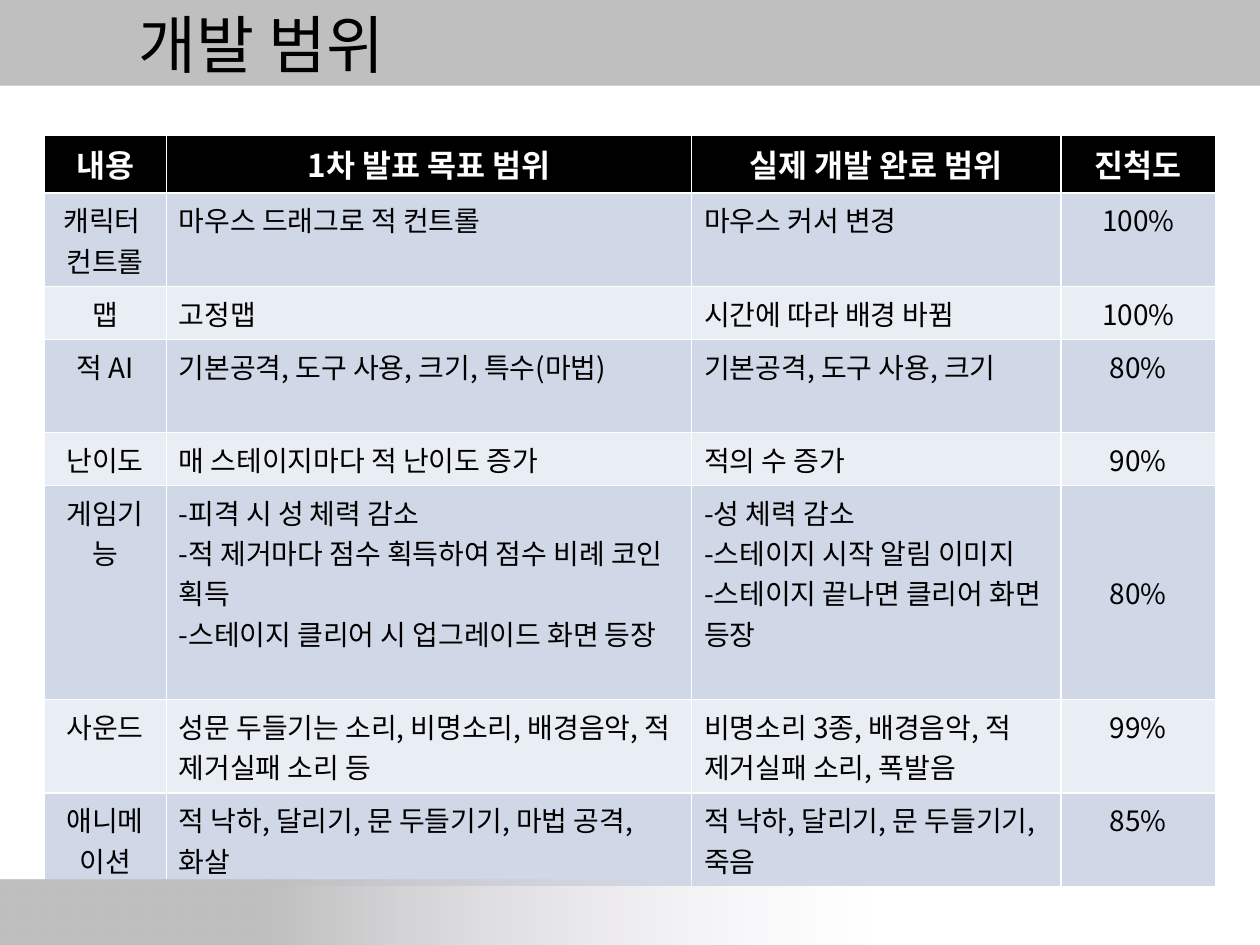
from dataclasses import dataclass

from lxml import etree
from pptx import Presentation
from pptx import util as u
from pptx.dml.color import RGBColor
from pptx.enum import shapes, text
from pptx.oxml import ns


@dataclass(frozen=True)
class Theme:
    font: str = "Noto Sans CJK KR"
    title_size: int = 36
    head_size: int = 18
    body_size: int = 16
    ink: str = "000000"
    paper: str = "FFFFFF"
    bar: str = "BFBFBF"
    fade: str = "E6E0EC"
    bands: tuple = ("D0D8E8", "E9EDF4")


@dataclass(frozen=True)
class ScopeRow:
    topic: str
    goal: str
    done: str
    progress: str
    height: float
    middle: bool = False  # centre the progress value vertically


T = Theme()
HEADER = ("내용", "1차 발표 목표 범위", "실제 개발 완료 범위", "진척도")
COL_WIDTHS = (0.97, 4.17, 2.93, 1.23)
HEAD_HEIGHT, ONE_LINE, TWO_LINES = 0.45, 0.42, 0.74
ROWS = (
    ScopeRow("캐릭터 \n컨트롤", "마우스 드래그로 적 컨트롤", "마우스 커서 변경", "100%", TWO_LINES),
    ScopeRow("맵", "고정맵", "시간에 따라 배경 바뀜", "100%", ONE_LINE),
    ScopeRow("적 AI", "기본공격, 도구 사용, 크기, 특수(마법)",
             "기본공격, 도구 사용, 크기", "80%", TWO_LINES),
    ScopeRow("난이도", "매 스테이지마다 적 난이도 증가", "적의 수 증가", "90%", ONE_LINE),
    ScopeRow("게임기능",
             "-피격 시 성 체력 감소\n-적 제거마다 점수 획득하여 점수 비례 코인 획득\n"
             "-스테이지 클리어 시 업그레이드 화면 등장",
             "-성 체력 감소\n-스테이지 시작 알림 이미지\n-스테이지 끝나면 클리어 화면 등장",
             "80%", 1.7, middle=True),
    ScopeRow("사운드", "성문 두들기는 소리, 비명소리, 배경음악, 적 제거실패 소리 등",
             "비명소리 3종, 배경음악, 적 제거실패 소리, 폭발음", "99%", TWO_LINES),
    ScopeRow("애니메이션", "적 낙하, 달리기, 문 두들기기, 마법 공격, 화살",
             "적 낙하, 달리기, 문 두들기기, 죽음", "85%", TWO_LINES),
)


def write(tf, words: str, size: int, color: str, centered: bool = False,
          bold: bool = False) -> None:
    """Fill a text frame, one paragraph per line of words."""
    tf.text = words
    for p in tf.paragraphs:
        p.alignment = text.PP_ALIGN.CENTER if centered else text.PP_ALIGN.LEFT
        p.font.size = u.Pt(size)
        p.font.bold = bold
        p.font.color.rgb = RGBColor.from_string(color)
        p.font.name = T.font
        # East Asian typeface for the Korean text
        props = p._p.get_or_add_pPr().get_or_add_defRPr()
        etree.SubElement(props, ns.qn("a:ea"), typeface=T.font)


def add_bar(slide, top: float, height: float):
    """Full-width rectangle without outline or shadow."""
    sp = slide.shapes.add_shape(shapes.MSO_SHAPE.RECTANGLE, 0, u.Inches(top),
                                u.Inches(10), u.Inches(height))
    sp.shadow.inherit = False
    sp.line.fill.background()
    return sp


def fill_cell(cell, words: str, fill: str, size: int, color: str,
              centered: bool, bold: bool = False) -> None:
    cell.fill.solid()
    cell.fill.fore_color.rgb = RGBColor.from_string(fill)
    write(cell.text_frame, words, size, color, centered, bold)


def add_scope_table(slide) -> None:
    heights = [HEAD_HEIGHT] + [row.height for row in ROWS]
    table = slide.shapes.add_table(
        len(heights), len(COL_WIDTHS), u.Inches(0.35), u.Inches(1.07),
        u.Inches(sum(COL_WIDTHS)), u.Inches(sum(heights))).table
    for column, width in zip(table.columns, COL_WIDTHS):
        column.width = u.Inches(width)
    for line, height in zip(table.rows, heights):
        line.height = u.Inches(height)

    for c, words in enumerate(HEADER):
        fill_cell(table.cell(0, c), words, T.ink, T.head_size, T.paper, True, True)
    for r, row in enumerate(ROWS):
        band = T.bands[r % 2]
        for c, words in enumerate((row.topic, row.goal, row.done, row.progress)):
            fill_cell(table.cell(r + 1, c), words, band, T.body_size, T.ink, c in (0, 3))
        if row.middle:
            table.cell(r + 1, 3).vertical_anchor = text.MSO_ANCHOR.MIDDLE


prs = Presentation()
prs.slide_width, prs.slide_height = u.Inches(10), u.Inches(7.5)
s = prs.slides.add_slide(prs.slide_layouts[6])

# Scope table
add_scope_table(s)

# Title banner
banner = add_bar(s, 0, 0.68)
banner.fill.solid()
banner.fill.fore_color.rgb = RGBColor.from_string(T.bar)
tf = banner.text_frame
tf.margin_left = u.Inches(1.1)
tf.vertical_anchor = text.MSO_ANCHOR.MIDDLE
write(tf, "개발 범위", T.title_size, T.ink)

# Footer bar, fading to transparent
footer = add_bar(s, 6.98, 0.52)
footer.fill.gradient()
footer.fill.gradient_angle = 0
for stop, position, color in zip(footer.fill.gradient_stops, (0.21, 0.69), (T.bar, T.fade)):
    stop.position = position
    stop.color.rgb = RGBColor.from_string(color)
last_color = footer._element.spPr.findall(".//" + ns.qn("a:srgbClr"))[-1]
etree.SubElement(last_color, ns.qn("a:alpha"), val="0")

prs.save("out.pptx")
